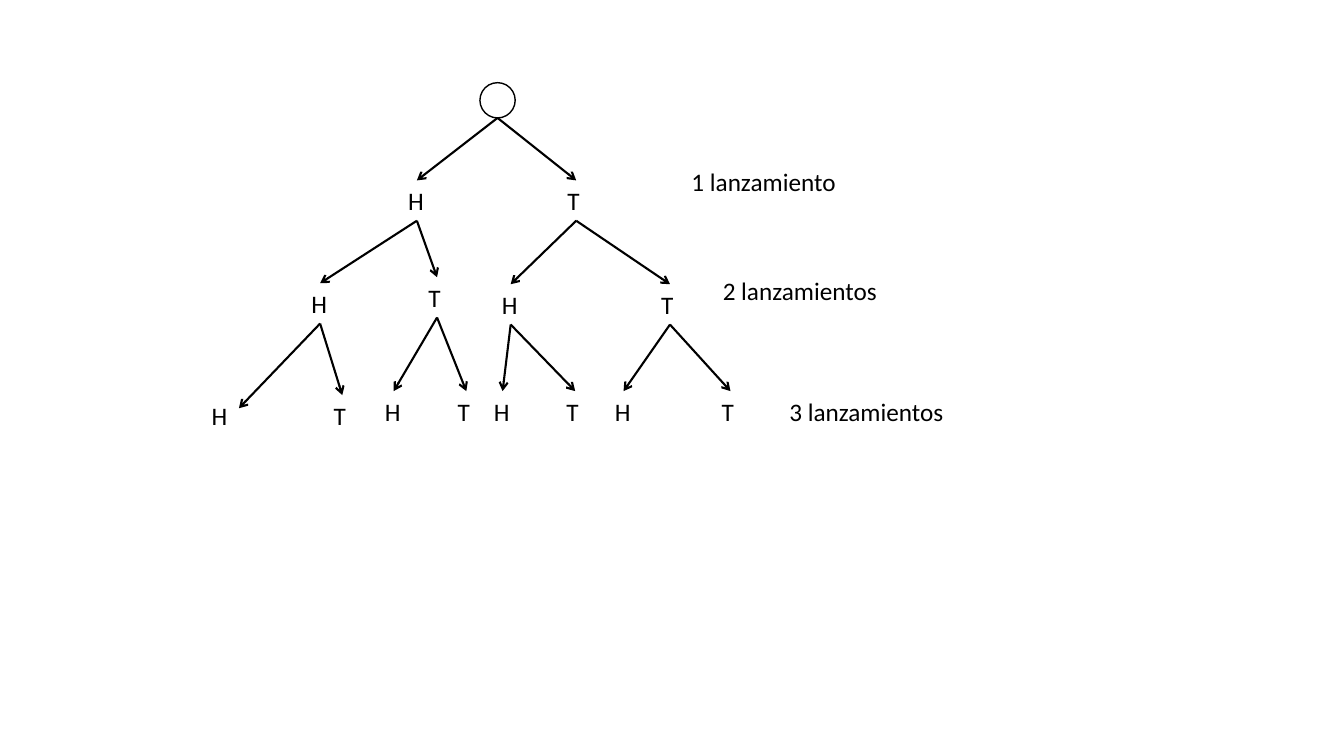
from dataclasses import dataclass

from lxml.etree import SubElement
from pptx import Presentation
from pptx.dml.color import RGBColor
from pptx.enum.shapes import MSO_CONNECTOR, MSO_SHAPE
from pptx.enum.text import MSO_AUTO_SIZE
from pptx.oxml.ns import qn
from pptx.util import Inches, Pt

BLACK = RGBColor(0x00, 0x00, 0x00)
WHITE = RGBColor(0xFF, 0xFF, 0xFF)
ROOT_SIZE = 0.35
TOSS_WIDTH = 0.37
TEXT_HEIGHT = 0.4


@dataclass
class Toss:
    """A coin face, offset from the tree's corner, with the tosses after it."""
    left: float
    top: float
    following: tuple = ()
    tip: tuple = None


FIRST_TOSSES = (
    Toss(1.95, 0.97, (
        Toss(0.99, 1.99, (Toss(0, 3.1, tip=(0.37, 3.23)), Toss(1.21, 3.1))),
        Toss(2.15, 1.93, (Toss(1.72, 3.06), Toss(2.44, 3.06))),
    )),
    Toss(3.53, 0.97, (
        Toss(2.88, 2, (Toss(2.8, 3.06), Toss(3.52, 3.06))),
        Toss(4.46, 2, (Toss(4, 3.06), Toss(5.06, 3.06))),
    )),
)
LEVELS = (
    ("1 lanzamiento", 0, 0),
    ("2 lanzamientos", 0.31, 1.08),
    ("3 lanzamientos", 0.97, 2.28),
)


def add_label(slide, text, left, top, width):
    """Write one line of text in a box."""
    label = slide.shapes.add_textbox(
        Inches(left), Inches(top), Inches(width), Inches(TEXT_HEIGHT))
    label.text_frame.word_wrap = True
    label.text_frame.auto_size = MSO_AUTO_SIZE.SHAPE_TO_FIT_TEXT
    paragraph = label.text_frame.paragraphs[0]
    paragraph.text = text
    paragraph.font.name = "Calibri"
    paragraph.font.size = Pt(18)
    paragraph.font.color.rgb = BLACK


def add_arrow(slide, start, end):
    """Draw a branch that ends in an open arrowhead."""
    branch = slide.shapes.add_connector(
        MSO_CONNECTOR.STRAIGHT, *(Inches(value) for value in (*start, *end)))
    branch.line.color.rgb = BLACK
    branch.line.width = Pt(1.5)
    SubElement(branch.line._get_or_add_ln(), qn("a:tailEnd"), type="arrow")
    SubElement(branch._element.spPr, qn("a:effectLst"))


def add_branches(slide, left, top, start, tosses):
    """Draw the heads and tails that follow a point, then their own branches."""
    for face, toss in zip("HT", tosses):
        center = toss.left + TOSS_WIDTH / 2
        tip_x, tip_y = toss.tip or (center, toss.top)
        add_arrow(slide, start, (left + tip_x, top + tip_y))
        add_label(slide, face, left + toss.left, top + toss.top, TOSS_WIDTH)
        bottom = (left + center, top + toss.top + TEXT_HEIGHT)
        add_branches(slide, left, top, bottom, toss.following)


def add_tree(slide, left, top):
    """Draw the root circle and every branch below it."""
    root_left = left + 2.76
    root = slide.shapes.add_shape(
        MSO_SHAPE.OVAL, Inches(root_left), Inches(top),
        Inches(ROOT_SIZE), Inches(ROOT_SIZE))
    root.shadow.inherit = False
    root.fill.solid()
    root.fill.fore_color.rgb = WHITE
    root.line.color.rgb = BLACK
    root.line.width = Pt(1)
    bottom = (root_left + ROOT_SIZE / 2, top + ROOT_SIZE)
    add_branches(slide, left, top, bottom, FIRST_TOSSES)


def add_levels(slide, left, top):
    """Name the number of tosses beside each level of the tree."""
    for text, across, down in LEVELS:
        add_label(slide, text, left + across, top + down, 2.08)


def main():
    """Build the slide and save it."""
    presentation = Presentation()
    presentation.slide_width = Inches(13.33)
    presentation.slide_height = Inches(7.5)
    slide = presentation.slides.add_slide(presentation.slide_layouts[6])
    add_tree(slide, left=2, top=0.82)
    add_levels(slide, left=6.76, top=1.6)
    presentation.save("out.pptx")


if __name__ == "__main__":
    main()
